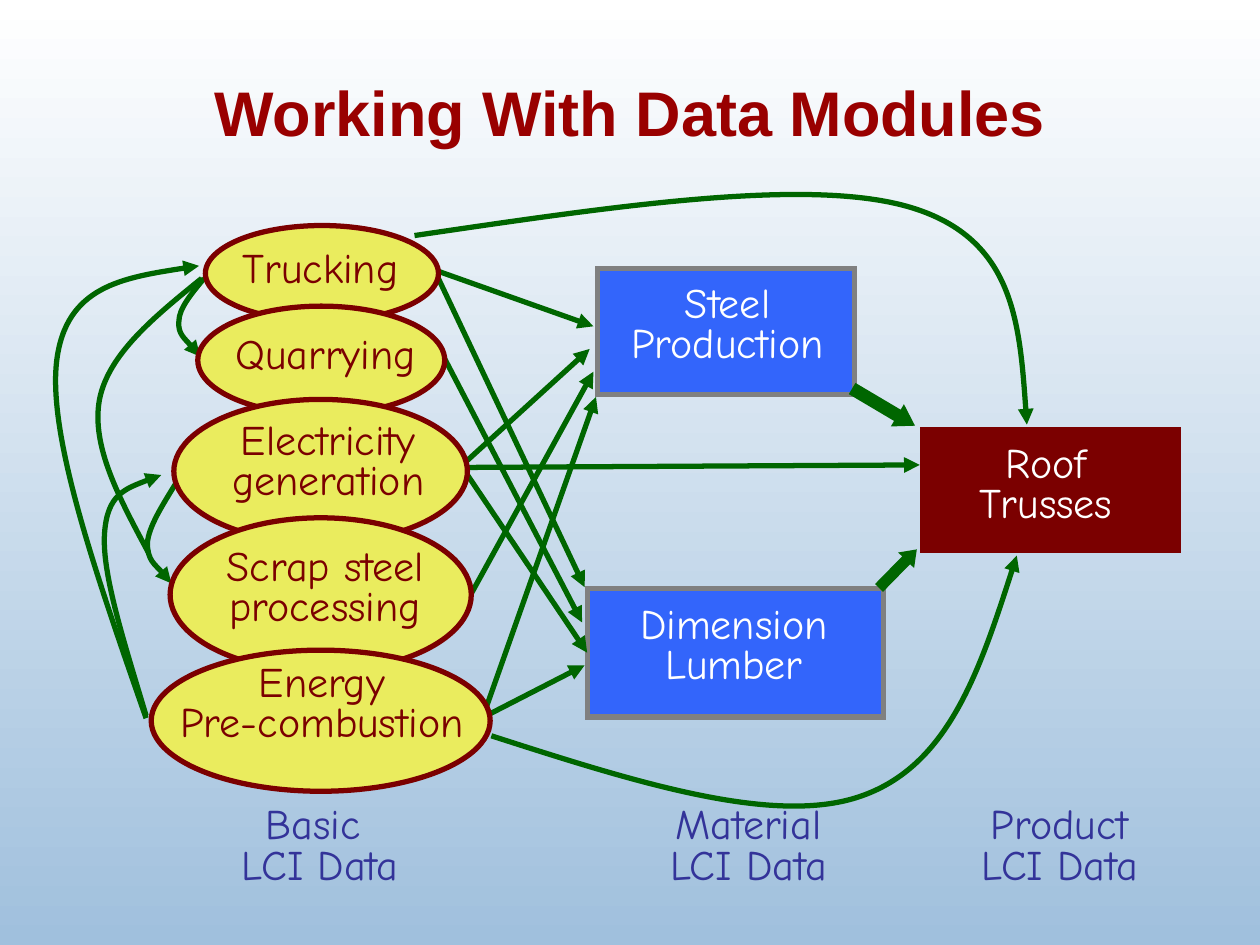
import pptx
import pptx.dml.color
import pptx.enum.shapes
import pptx.enum.text
import pptx.oxml.ns
import pptx.util
from lxml import etree

COLOURS = {
    "sky": "FFFFFF", "ground": "A0C0DD", "title": "990000", "maroon": "7B0000",
    "yellow": "EAEC5E", "blue": "3365FB", "grey": "808080", "green": "006600",
    "caption": "333399", "white": "FFFFFF",
}
COLUMNS, ROWS = 100, 75
WIDTH, HEIGHT = pptx.util.Inches(10), pptx.util.Inches(7.5)
SHAPES = pptx.enum.shapes.MSO_SHAPE
CAPTION_ROW, CAPTION_WIDTH, LABEL_HEIGHT = 63.6, 17.2, 7.4

MODULES = [
    ((4.3, 0, 18.5, 7.6), (5.3, 0.8, 16.3, 5), ["Trucking"]),
    ((3.7, 6.4, 19.6, 8.6), (4.7, 7.6, 18.3, 5), ["Quarrying"]),
    ((1.8, 13.8, 23.3, 11.4), (5.4, 15.2, 17.3, 7.4), ["Electricity", "generation"]),
    ((1.5, 23.2, 23.9, 12.2), (4.9, 25.2, 17.8, 7.4), ["Scrap steel", "processing"]),
    ((0, 33.7, 26.9, 11.2), (1.3, 34.4, 24.5, 7.4), ["Energy", "Pre-combustion"]),
]
STRAIGHT_FLOWS = [
    ((34.7, 21.9), (46.4, 46.6)), ((35.1, 28.1), (46.2, 49.4)),
    ((38.6, 56.8), (46.4, 52.8)), ((34.7, 21.5), (47.1, 25.9)),
    ((36.7, 36.9), (46.8, 27.7)), ((37.3, 47.3), (47.1, 29.5)),
    ((38.5, 56.4), (47.3, 31.5)), ((36.9, 37.1), (73, 36.9)),
]
CURVED_FLOWS = [
    ([(11.6, 57), (7.7, 45.8), (3.8, 34.7), (4.5, 28.7), (5.2, 22.7), (10.5, 21.9), (15.8, 21.1)], True),
    ([(11.6, 56.8), (9.9, 51.1), (8.1, 45.6), (8.3, 42.4), (8.5, 39.2), (10.6, 38.5), (12.8, 37.7)], True),
    ([(14, 38.3), (12.9, 40.1), (11.8, 41.8), (11.7, 43.1), (11.7, 44.5), (13.3, 45.8), (13.6, 46.3)], True),
    ([(16.2, 22.1), (15.2, 23.3), (14.2, 24.5), (14.2, 25.5), (14.1, 26.5), (15.6, 27.9), (15.9, 28.3)], True),
    ([(16, 22.1), (12.3, 25.1), (8.6, 28.1), (7.9, 31.7), (7.2, 35.4), (9.5, 39.6), (11.8, 43.9)], False),
    ([(32.9, 18.7), (48.6, 16.4), (64.3, 14), (72.4, 16.5), (80.5, 19), (81, 26.4), (81.5, 33.7)], True),
    ([(39, 58.4), (50.2, 62), (61.4, 65.6), (68.3, 63.2), (75.3, 60.8), (78, 52.5), (80.7, 44.1)], True),
]


def colour(name):
    """Return a named colour."""
    return pptx.dml.color.RGBColor.from_string(COLOURS[name])


def cells(column, row):
    """Turn grid columns and rows into slide lengths."""
    return round(WIDTH * column / COLUMNS), round(HEIGHT * row / ROWS)


def place(region, part):
    """Return the frame of a part given relative to its region's corner."""
    return *cells(region[0] + part[0], region[1] + part[1]), *cells(part[2], part[3])


def add_run(paragraph, text, colour_name, font="Comic Neue", size=24, bold=False):
    """Add one formatted run."""
    run = paragraph.add_run()
    run.text = text
    run.font.name, run.font.size, run.font.bold = font, pptx.util.Pt(size), bold
    run.font.color.rgb = colour(colour_name)


def add_label(slide, frame, lines, colour_name, wrap=False, split=False):
    """Add a centred label whose lines are paragraphs if split, else line breaks."""
    text_frame = slide.shapes.add_textbox(*frame).text_frame
    text_frame.word_wrap = wrap
    text_frame.auto_size = pptx.enum.text.MSO_AUTO_SIZE.SHAPE_TO_FIT_TEXT
    paragraph = text_frame.paragraphs[0]
    for index, line in enumerate(lines):
        if index and split:
            paragraph = text_frame.add_paragraph()
        elif index:
            paragraph.add_line_break()
        paragraph.alignment = pptx.enum.text.PP_ALIGN.CENTER
        paragraph.line_spacing = 0.8 if len(lines) > 1 else 1.0
        add_run(paragraph, line, colour_name)


def outline_of(shape):
    """Return the line element of a shape."""
    return shape.element.spPr.find(pptx.oxml.ns.qn("a:ln"))


def add_block(slide, kind, frame, fill, line, width=3):
    """Add a filled preset shape with a sharp-cornered outline."""
    shape = slide.shapes.add_shape(kind, *frame)
    shape.shadow.inherit = False
    shape.fill.solid()
    shape.fill.fore_color.rgb = colour(fill)
    shape.line.color.rgb = colour(line)
    shape.line.width = pptx.util.Pt(width)
    etree.SubElement(outline_of(shape), pptx.oxml.ns.qn("a:miter"), lim="800000")
    return shape


def add_caption(slide, column, kind):
    """Add the caption under a region."""
    frame = place((column, CAPTION_ROW), (0, 0, CAPTION_WIDTH, LABEL_HEIGHT))
    add_label(slide, frame, [kind, "LCI Data"], "caption", wrap=True)


def style_flow(shape, arrow=True):
    """Format the line of a flow and add its arrowhead."""
    shape.line.color.rgb = colour("green")
    shape.line.width = pptx.util.Pt(3)
    if arrow:
        etree.SubElement(outline_of(shape), pptx.oxml.ns.qn("a:tailEnd"), type="triangle")


def add_straight_flow(slide, start, end):
    """Add a straight arrow between two grid points."""
    kind = pptx.enum.shapes.MSO_CONNECTOR.STRAIGHT
    connector = slide.shapes.add_connector(kind, *cells(*start), *cells(*end))
    style_flow(connector)
    etree.SubElement(connector.element.spPr, pptx.oxml.ns.qn("a:effectLst"))
    return connector


def add_curved_flow(slide, points, arrow):
    """Add a Bezier flow from a start and triples of control points."""
    start, *controls = [cells(*point) for point in points]
    builder = slide.shapes.build_freeform(*start)
    builder.add_line_segments(controls, close=False)
    shape = builder.convert_to_shape()
    outline = next(shape.element.iter(pptx.oxml.ns.qn("a:path")))
    segments = outline.findall(pptx.oxml.ns.qn("a:lnTo"))
    for first in range(0, len(segments), 3):
        curve = etree.SubElement(outline, pptx.oxml.ns.qn("a:cubicBezTo"))
        for segment in segments[first:first + 3]:
            curve.append(segment[0])
            outline.remove(segment)
    shape.shadow.inherit = False
    shape.fill.background()
    style_flow(shape, arrow)


def add_title(slide, region):
    """Format the title placeholder."""
    title = slide.shapes.title
    title.left, title.top, title.width, title.height = place(region, (0, 0, *region[2:]))
    title.text_frame.vertical_anchor = pptx.enum.text.MSO_ANCHOR.MIDDLE
    paragraph = title.text_frame.paragraphs[0]
    paragraph.alignment = pptx.enum.text.PP_ALIGN.CENTER
    add_run(paragraph, "Working With Data Modules", "title", "Arial", 36, True)


def add_materials(slide, region):
    """Add the material boxes and return the lumber box."""
    lumber = add_block(slide, SHAPES.RECTANGLE, place(region, (0, 25.4, 23.5, 10.2)), "blue", "grey")
    add_label(slide, place(region, (3.2, 26.4, 16.9, LABEL_HEIGHT)), ["Dimension", "Lumber"], "white")
    add_block(slide, SHAPES.RECTANGLE, place(region, (0.8, 0, 20.4, 10)), "blue", "grey")
    add_label(slide, place(region, (2.5, 0.9, 17.3, LABEL_HEIGHT)), ["Steel", "Production"], "white", split=True)
    add_caption(slide, region[0] + 4.2, "Material")
    return lumber


def add_flows(slide, lumber):
    """Add every flow between modules, materials and product."""
    for start, end in STRAIGHT_FLOWS:
        add_straight_flow(slide, start, end)
    electricity_flow = add_straight_flow(slide, (36.7, 37.1), (46.2, 52))
    electricity_flow.end_connect(lumber, 1)
    for points, arrow in CURVED_FLOWS:
        add_curved_flow(slide, points, arrow)


def add_modules(slide, region):
    """Add the overlapping basic data modules."""
    for oval, label, lines in MODULES:
        add_block(slide, SHAPES.OVAL, place(region, oval), "yellow", "maroon")
        add_label(slide, place(region, label), lines, "maroon", split=True)
    add_caption(slide, region[0] + 4.8, "Basic ")


def add_product(slide, region):
    """Add the product box and the block arrows leading to it."""
    add_block(slide, SHAPES.RECTANGLE, place(region, (0, 0, *region[2:])), "maroon", "maroon")
    add_label(slide, place(region, (3.5, 0.8, 12.6, LABEL_HEIGHT)), ["Roof", "Trusses"], "white")
    for part, angle, head in [((-5.9, -2.7, 5.6, 1.8), 30.6, 0.79), ((-4, 10.3, 4.1, 1.5), 314.4, 0.68)]:
        arrow = add_block(slide, SHAPES.RIGHT_ARROW, place(region, part), "green", "green", 1)
        arrow.rotation = angle
        arrow.adjustments[1] = head
    add_caption(slide, region[0] + 2.3, "Product")


def main():
    """Build the slide and save it."""
    presentation = pptx.Presentation()
    presentation.slide_width, presentation.slide_height = WIDTH, HEIGHT
    slide = presentation.slides.add_slide(presentation.slide_layouts[5])
    background = slide.background.fill
    background.gradient()
    background.gradient_angle = 270
    for stop, name in zip(background.gradient_stops, ["sky", "ground"]):
        stop.color.rgb = colour(name)
    add_title(slide, (7.5, 4.2, 85, 9.2))
    lumber = add_materials(slide, (46.6, 21.3, 23.5, 35.6))
    add_flows(slide, lumber)
    add_modules(slide, (12, 17.9, 26.9, 44.9))
    add_product(slide, (73.2, 34.1, 20.3, 9.6))
    presentation.save("out.pptx")


if __name__ == "__main__":
    main()
